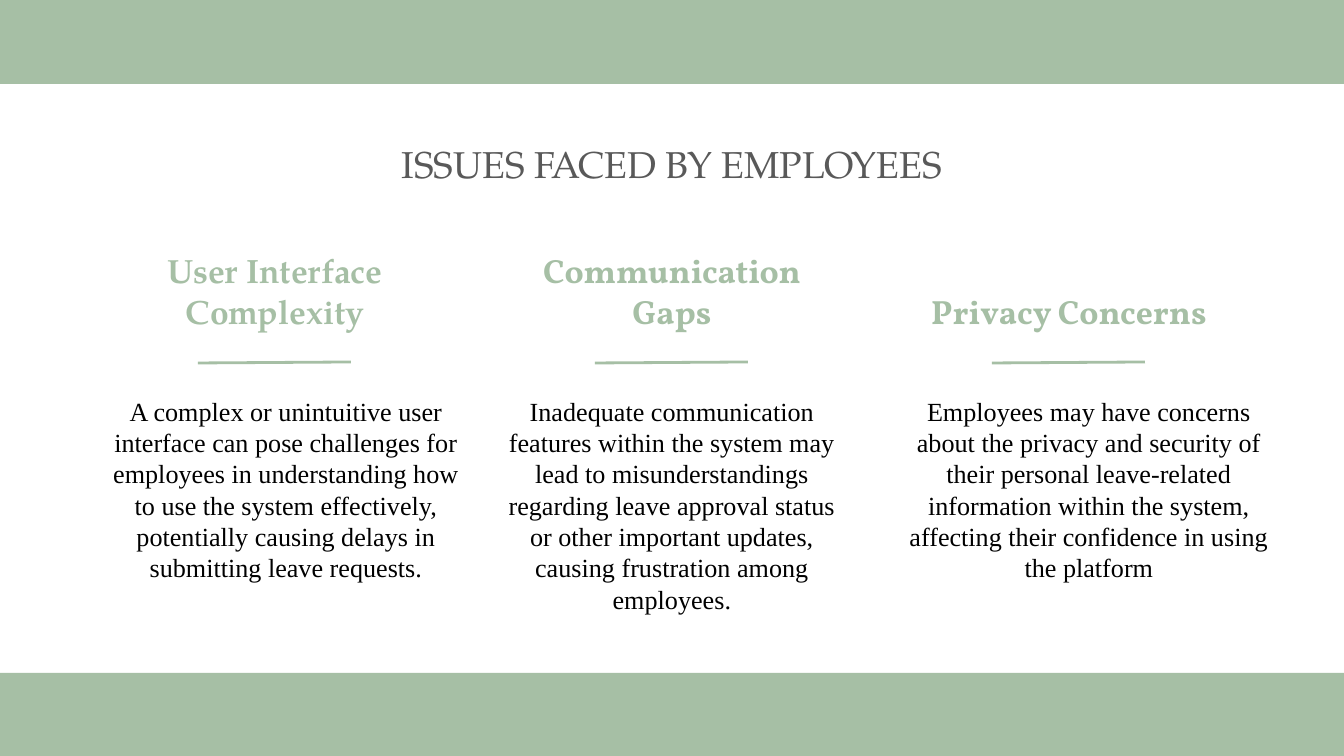
from dataclasses import dataclass
from typing import Any

from lxml import etree
from pptx import Presentation
from pptx import util as u
from pptx.dml.color import RGBColor
from pptx.enum import shapes, text
from pptx.oxml import ns

SCALE = 9144000 / 1344
WIDTH, HEIGHT = 1344, 756
BAND_HEIGHT = 84
COLUMN_STEP = 397
SERIF, HEADING, BODY = "TeX Gyre Pagella", "Vollkorn", "Times New Roman"

ISSUES = [
    ("User Interface Complexity", SERIF, 91, 390,
     "A complex or unintuitive user interface can pose challenges for employees "
     "in understanding how to use the system effectively, potentially causing "
     "delays in submitting leave requests."),
    ("Communication Gaps", HEADING, 484, 376,
     "Inadequate communication features within the system may lead to "
     "misunderstandings regarding leave approval status or other important "
     "updates, causing frustration among employees."),
    ("Privacy Concerns", HEADING, 890, 398,
     "Employees may have concerns about the privacy and security of their "
     "personal leave-related information within the system, affecting their "
     "confidence in using the platform"),
]


def px(length):
    return u.Emu(round(length * SCALE))


def color(value):
    return RGBColor.from_string(value)


@dataclass
class Deck:
    slide: Any
    green: str = "A6BFA5"
    gray: str = "595959"
    black: str = "000000"
    inset: int = 13
    leading: float = 1.2

    def fill_text(self, box, words, font, size, ink, bold=False,
                  anchor=text.MSO_ANCHOR.TOP):
        frame = box.text_frame
        frame.text = words
        inset = px(self.inset)
        layout = {
            "word_wrap": True, "auto_size": text.MSO_AUTO_SIZE.NONE,
            "vertical_anchor": anchor, "margin_left": inset, "margin_right": inset,
            "margin_top": inset, "margin_bottom": inset,
        }
        for name, value in layout.items():
            setattr(frame, name, value)
        paragraph = frame.paragraphs[0]
        paragraph.alignment = text.PP_ALIGN.CENTER
        paragraph.line_spacing = u.Pt(size * self.leading)
        letters = paragraph.runs[0].font
        for name, value in {"name": font, "size": u.Pt(size), "bold": bold}.items():
            setattr(letters, name, value)
        letters.color.rgb = color(ink)

    def title(self, words, left, top, width, height):
        box = self.slide.shapes.title
        place = {"left": left, "top": top, "width": width, "height": height}
        for name, value in place.items():
            setattr(box, name, px(value))
        self.fill_text(box, words, SERIF, 20, self.gray)

    def textbox(self, words, left, top, width, height, **style):
        box = self.slide.shapes.add_textbox(px(left), px(top), px(width), px(height))
        self.fill_text(box, words, **style)

    def band(self, top):
        band = self.slide.shapes.add_shape(
            shapes.MSO_SHAPE.RECTANGLE, 0, px(top), px(WIDTH), px(BAND_HEIGHT))
        band.shadow.inherit = False
        band.fill.solid()
        band.fill.fore_color.rgb = color(self.green)
        band.line.fill.background()

    def rule(self, x1, y1, x2, y2):
        rule = self.slide.shapes.add_connector(
            shapes.MSO_CONNECTOR.STRAIGHT, px(x1), px(y1), px(x2), px(y2))
        rule.line.color.rgb = color(self.green)
        rule.line.width = u.Pt(1.5)
        etree.SubElement(rule.element.spPr, ns.qn("a:effectLst"))


def main():
    presentation = Presentation()
    presentation.slide_width, presentation.slide_height = px(WIDTH), px(HEIGHT)
    layout = presentation.slide_layouts.get_by_name("Title Only")
    deck = Deck(presentation.slides.add_slide(layout))

    for top in (0, HEIGHT - BAND_HEIGHT + 1):
        deck.band(top)
    deck.title("ISSUES FACED BY EMPLOYEES", 105, 128, 1134, 81)

    for column, (heading, font, left, width, detail) in enumerate(ISSUES):
        offset = column * COLUMN_STEP
        deck.textbox(heading, 105 + offset, 267, 340, 77, font=font, size=18,
                     ink=deck.green, bold=True, anchor=text.MSO_ANCHOR.BOTTOM)
        deck.rule(198 + offset, 363, 351 + offset, 362)
        deck.textbox(detail, left, 382, width, 203, font=BODY, size=14, ink=deck.black)

    presentation.save("out.pptx")


if __name__ == "__main__":
    main()
